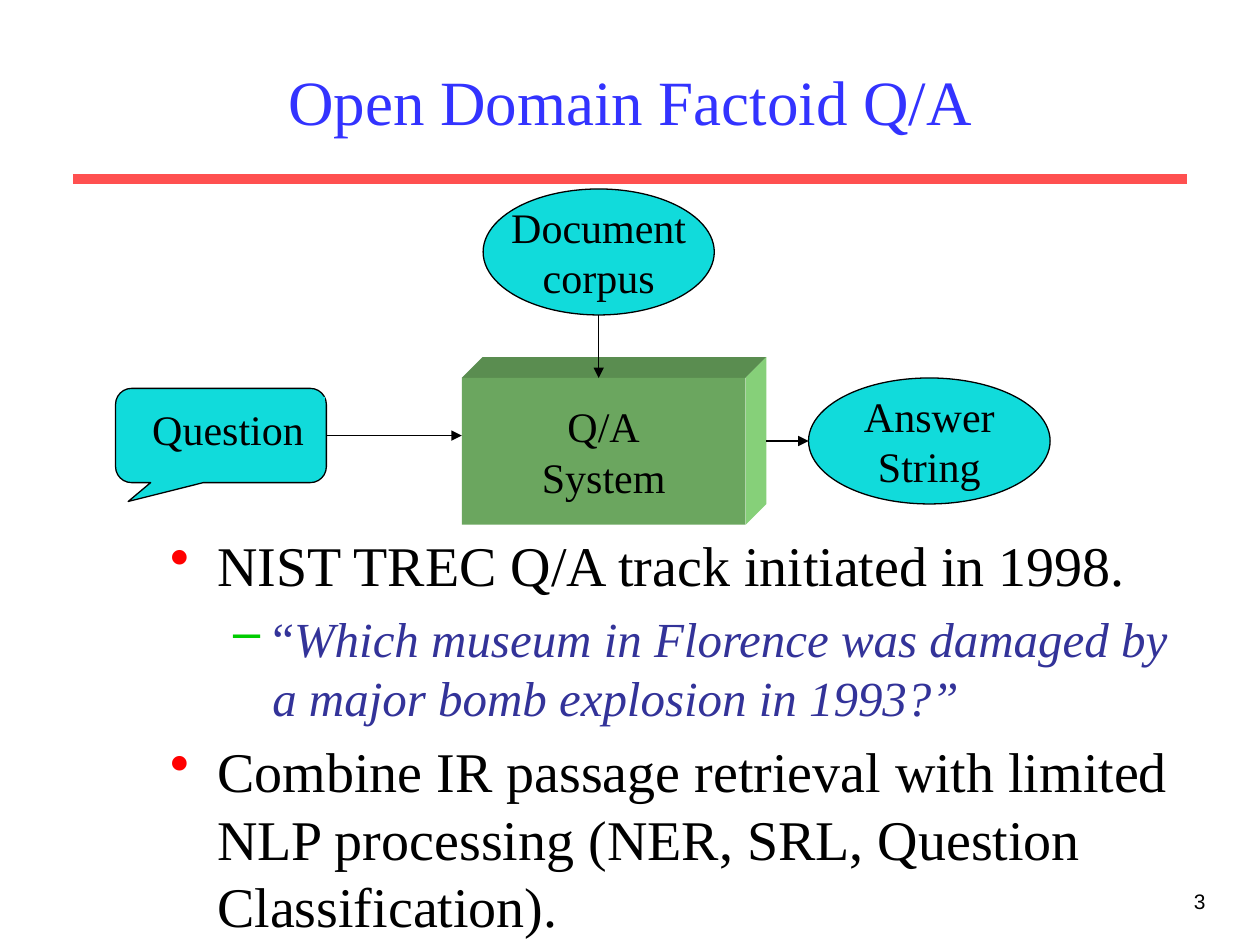
from lxml import etree
from pptx import Presentation
from pptx.dml.color import RGBColor
from pptx.enum.shapes import MSO_CONNECTOR as Connector, MSO_SHAPE as Shape
from pptx.enum.text import MSO_ANCHOR as Anchor, PP_ALIGN as Align
from pptx.oxml.ns import qn
from pptx.util import Cm, Pt

BLACK, CYAN = "000000", "11DBDB"


def color(value):
    return RGBColor.from_string(value)


def write(para, text, size=24, font="Times New Roman", ink=BLACK, align=Align.CENTER, italic=False):
    para.alignment = align
    span = para.add_run()
    span.text = text
    span.font.size, span.font.name, span.font.italic = Pt(size), font, italic
    span.font.color.rgb = color(ink)


deck = Presentation()
deck.slide_width, deck.slide_height = Cm(25.4), Cm(19.05)
page = deck.slides.add_slide(deck.slide_layouts[5])

# Title
title = page.shapes.title
title.left, title.top, title.width, title.height = Cm(1.91), Cm(0.64), Cm(21.59), Cm(2.75)
title.text_frame.vertical_anchor = Anchor.MIDDLE
write(title.text_frame.paragraphs[0], "Open Domain Factoid Q/A", size=36, ink="3333FF")

# Bulleted text: level, spans of (text, italic)
points = [
    (0, [("NIST TREC Q/A track initiated in 1998.", False)]),
    (1, [("“", False),
         ("Which museum in Florence was damaged by a major bomb explosion in 1993?”", True)]),
    (0, [("Combine IR passage retrieval with limited NLP processing "
          "(NER, SRL, Question Classification).", False)]),
]
# Per level: left indent, hanging indent, bullet, bullet colour, size, text colour
levels = [(0.95, 0.95, "•", "FF0000", 32, BLACK), (2.06, 0.79, "–", "00CC00", 28, "333399")]
body = page.shapes.add_textbox(Cm(3.18), Cm(10.58), Cm(21.17), Cm(7.83)).text_frame
body.word_wrap = True
for index, (level, spans) in enumerate(points):
    left, hanging, bullet, bullet_ink, size, ink = levels[level]
    para = body.add_paragraph() if index else body.paragraphs[0]
    para.level = level
    if index:
        para.space_before = Pt(6)
    props = para._p.get_or_add_pPr()
    props.set("marL", str(Cm(left)))
    props.set("indent", str(-Cm(hanging)))
    bullet_color = etree.SubElement(props, qn("a:buClr"))
    etree.SubElement(bullet_color, qn("a:srgbClr"), val=bullet_ink)
    etree.SubElement(props, qn("a:buChar"), char=bullet)
    for text, italic in spans:
        write(para, text, size=size, ink=ink, align=Align.LEFT, italic=italic)

# Slide number
number = page.shapes.add_textbox(Cm(19.26), Cm(17.78), Cm(5.29), Cm(1.27)).text_frame
number.word_wrap = True
write(number.paragraphs[0], "3", size=12, font="Arial", align=Align.RIGHT)

# Top and right faces of the system block
left, top, width, height, depth = 9.31, 7.62, 5.72, 2.96, 0.42
right, bottom = left + width, top + height
faces = [
    ("5A8D50", [(left, top), (left + depth, top - depth), (right + depth, top - depth), (right, top)]),
    ("86D079", [(right, top), (right + depth, top - depth), (right + depth, bottom - depth), (right, bottom)]),
]
for fill, corners in faces:
    (x, y), *others = [(Cm(a), Cm(b)) for a, b in corners]
    builder = page.shapes.build_freeform(x, y)
    builder.add_line_segments(others, close=True)
    face = builder.convert_to_shape()
    face.shadow.inherit = False
    face.fill.solid()
    face.fill.fore_color.rgb = color(fill)
    face.line.fill.background()

# Diagram nodes: preset, place, fill, outlined, lines of text
nodes = [
    (Shape.RECTANGLE, (left, top, width, height), "6BA65F", False, ["Q/A", "System"]),
    (Shape.ROUNDED_RECTANGULAR_CALLOUT, (2.33, 7.83, 4.25, 1.9), CYAN, True, []),
    (Shape.RECTANGLE, (2.82, 8, 3.73, 1.2), CYAN, False, ["Question"]),
    (Shape.OVAL, (9.74, 3.81, 4.66, 2.54), CYAN, True, ["Document", "corpus"]),
    (Shape.OVAL, (16.3, 7.62, 4.87, 2.54), CYAN, True, ["Answer", "String"]),
]
drawn = []
for preset, place, fill, outlined, lines in nodes:
    node = page.shapes.add_shape(preset, *map(Cm, place))
    node.shadow.inherit = False
    node.fill.solid()
    node.fill.fore_color.rgb = color(fill)
    if outlined:
        node.line.color.rgb = color(BLACK)
        node.line.width = Pt(0.75)
    else:
        node.line.fill.background()
    frame = node.text_frame
    frame.word_wrap = False
    frame.vertical_anchor = Anchor.MIDDLE
    for index, text in enumerate(lines):
        para = frame.add_paragraph() if index else frame.paragraphs[0]
        write(para, text)
    drawn.append(node)

callout, question = drawn[1:3]
for index, value in enumerate((-0.44, 0.7, 0.17)):
    callout.adjustments[index] = value
question.text_frame.word_wrap = True
question.text_frame.vertical_anchor = Anchor.TOP
question.text_frame.paragraphs[0].alignment = Align.LEFT

# Title rule and arrows: ends, colour, width, arrowhead, shape joined at the start
links = [
    ((1.47, 3.61, 23.93, 3.61), "FF5050", 6, False, None),
    ((6.58, 8.78, left, 8.78), BLACK, 0.75, True, callout),
    ((12.07, 6.35, 12.07, top), BLACK, 0.75, True, None),
    ((right + depth, 8.89, 16.3, 8.89), BLACK, 0.75, True, None),
]
for ends, ink, weight, arrow, start in links:
    link = page.shapes.add_connector(Connector.STRAIGHT, *map(Cm, ends))
    if start:
        link.begin_connect(start, 3)
    link.line.color.rgb = color(ink)
    link.line.width = Pt(weight)
    if arrow:
        etree.SubElement(link.line._get_or_add_ln(), qn("a:tailEnd"), type="triangle")
    etree.SubElement(link._element.spPr, qn("a:effectLst"))

deck.save("out.pptx")
